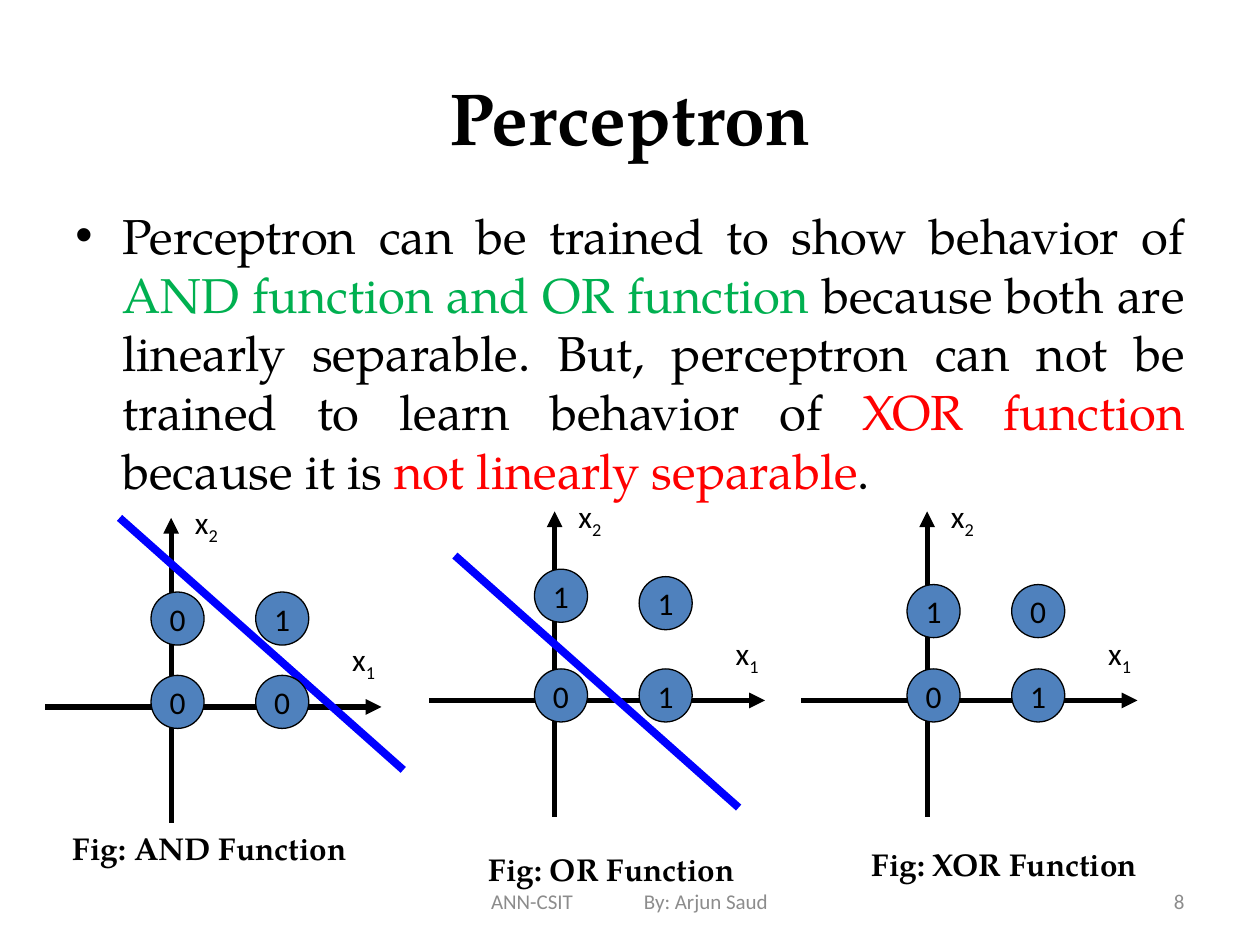
from dataclasses import dataclass
from typing import Optional

from pptx import Presentation
from pptx.dml.color import RGBColor
from pptx.enum.shapes import MSO_CONNECTOR, MSO_SHAPE
from pptx.enum.text import MSO_ANCHOR, MSO_AUTO_SIZE, PP_ALIGN
from pptx.oxml.xmlchemy import OxmlElement
from pptx.util import Cm, Pt

STRAIGHT = MSO_CONNECTOR.STRAIGHT
OVAL = MSO_SHAPE.OVAL
MIDDLE = MSO_ANCHOR.MIDDLE
GROW = MSO_AUTO_SIZE.SHAPE_TO_FIT_TEXT
LEFT, CENTER, RIGHT, JUSTIFY = PP_ALIGN.LEFT, PP_ALIGN.CENTER, PP_ALIGN.RIGHT, PP_ALIGN.JUSTIFY

SERIF = "TeX Gyre Pagella"
SANS = "Calibri"
COLORS = {
    "text": "000000",
    "good": "00B050",
    "bad": "FF0000",
    "node": "4F81BD",
    "separator": "0000FF",
    "footer": "8C8C8C",
}
NODE_SIZE = 1.07
NODE_COLUMNS = (0.13, 2.24)
BOTTOM_ROW = -0.1


@dataclass
class Plot:
    caption: str
    caption_at: tuple[float, float]
    origin: tuple[float, float]
    bottom: str
    top: str
    top_rows: tuple[float, float]
    separator: Optional[tuple[float, float]] = None


PLOTS = [
    Plot("Fig: AND Function", (1.22, 16.59), (3.45, 14.25), "00", "01",
         (-1.78, -1.78), (-1.04, -3.81)),
    Plot("Fig: OR Function", (9.6, 17.02), (11.18, 14.12), "01", "11",
         (-2.11, -1.96), (-2.01, -2.92)),
    Plot("Fig: XOR Function", (17.32, 16.92), (18.69, 14.12), "01", "10",
         (-1.8, -1.8)),
]
BODY_RUNS = [
    ("Perceptron can be trained to show behavior of ", "text"),
    ("AND function and OR function ", "good"),
    ("because both are linearly separable. But, perceptron can not be "
     "trained to learn behavior of ", "text"),
    ("XOR function ", "bad"),
    ("because it is ", "text"),
    ("not linearly separable", "bad"),
    (".", "text"),
]


def color(name: str) -> RGBColor:
    return RGBColor.from_string(COLORS[name])


def add_run(paragraph, text: str, size: float, font: str = SANS,
            color_name: str = "text", bold: bool = False):
    run = paragraph.add_run()
    run.text = text
    run.font.size = Pt(size)
    run.font.name = font
    run.font.bold = bold
    run.font.color.rgb = color(color_name)
    return run


def add_box(slide, left: float, top: float, width: float, height: float,
            wrap: bool = True, alignment=LEFT):
    box = slide.shapes.add_textbox(Cm(left), Cm(top), Cm(width), Cm(height))
    box.text_frame.word_wrap = wrap
    box.text_frame.paragraphs[0].alignment = alignment
    return box.text_frame


def add_line(slide, start: tuple[float, float], end: tuple[float, float],
             width: float, color_name: str, arrow: bool = False) -> None:
    line = slide.shapes.add_connector(STRAIGHT, Cm(start[0]), Cm(start[1]),
                                      Cm(end[0]), Cm(end[1]))
    line.line.width = Pt(width)
    line.line.color.rgb = color(color_name)
    if arrow:
        head = OxmlElement("a:headEnd")
        head.set("type", "triangle")
        line.line._get_or_add_ln().append(head)
    line._element.spPr.append(OxmlElement("a:effectLst"))


def add_axis_label(slide, left: float, top: float, index: str) -> None:
    frame = add_box(slide, left, top, 1.24, 1.27, wrap=False)
    frame.auto_size = GROW
    add_run(frame.paragraphs[0], "x", 18)
    subscript = add_run(frame.paragraphs[0], index, 18)
    subscript._r.get_or_add_rPr().set("baseline", "-25000")


def add_node(slide, center_x: float, center_y: float, value: str) -> None:
    node = slide.shapes.add_shape(OVAL, Cm(center_x - NODE_SIZE / 2),
                                  Cm(center_y - NODE_SIZE / 2),
                                  Cm(NODE_SIZE), Cm(NODE_SIZE))
    node.shadow.inherit = False
    node.fill.solid()
    node.fill.fore_color.rgb = color("node")
    node.line.color.rgb = color("text")
    node.line.width = Pt(0.75)
    frame = node.text_frame
    frame.word_wrap = False
    frame.vertical_anchor = MIDDLE
    frame.paragraphs[0].alignment = CENTER
    add_run(frame.paragraphs[0], value, 18)


def add_plot(slide, plot: Plot) -> None:
    x, y = plot.origin
    add_line(slide, (x, y - 3.81), (x, y + 2.34), 3, "text", arrow=True)
    add_line(slide, (x + 4.24, y), (x - 2.54, y), 3, "text", arrow=True)
    add_axis_label(slide, x + 3.4, y - 1.47, "1")
    add_axis_label(slide, x + 0.23, y - 4.23, "2")
    if plot.separator:
        start_x, start_y = x + plot.separator[0], y + plot.separator[1]
        add_line(slide, (start_x, start_y), (start_x + 5.72, start_y + 5.08),
                 4.5, "separator")
    for column, row, value in zip(NODE_COLUMNS, plot.top_rows, plot.top):
        add_node(slide, x + column, y + row, value)
    for column, value in zip(NODE_COLUMNS, plot.bottom):
        add_node(slide, x + column, y + BOTTOM_ROW, value)
    frame = add_box(slide, *plot.caption_at, 6.12, 1.02)
    frame.auto_size = GROW
    add_run(frame.paragraphs[0], plot.caption, 18, SERIF, bold=True)


def add_title(slide) -> None:
    title = slide.shapes.title
    title.left, title.top, title.width, title.height = Cm(1.27), Cm(0.76), Cm(22.86), Cm(3.18)
    title.text_frame.vertical_anchor = MIDDLE
    paragraph = title.text_frame.paragraphs[0]
    paragraph.alignment = CENTER
    add_run(paragraph, "Perceptron", 42, SERIF, bold=True)


def add_body(slide) -> None:
    frame = add_box(slide, 1.27, 3.81, 22.86, 13.97, alignment=JUSTIFY)
    frame.margin_top = Cm(0.33)
    paragraph = frame.paragraphs[0]
    properties = paragraph._p.get_or_add_pPr()
    properties.set("marL", str(Cm(0.95)))
    properties.set("indent", str(-Cm(0.95)))
    bullet_font = OxmlElement("a:buFont")
    bullet_font.set("typeface", "Arial")
    bullet = OxmlElement("a:buChar")
    bullet.set("char", "•")
    properties.extend([bullet_font, bullet])
    for text, color_name in BODY_RUNS:
        add_run(paragraph, text, 28, SERIF, color_name)


def add_footer(slide) -> None:
    number = add_box(slide, 18.2, 17.65, 5.93, 1.02, alignment=RIGHT)
    number.vertical_anchor = MIDDLE
    add_run(number.paragraphs[0], "8", 12, color_name="footer")

    footer = add_box(slide, 8.68, 17.65, 8.06, 1.02)
    footer.vertical_anchor = MIDDLE
    footer.margin_left = Cm(1.22)
    paragraph = footer.paragraphs[0]
    tabs = OxmlElement("a:tabLst")
    tab = OxmlElement("a:tab")
    tab.set("pos", str(Cm(3.08)))
    tab.set("algn", "l")
    tabs.append(tab)
    paragraph._p.get_or_add_pPr().append(tabs)
    add_run(paragraph, "ANN-CSIT\tBy: Arjun Saud", 12, color_name="footer")


def main() -> None:
    presentation = Presentation()
    presentation.slide_width = Cm(25.4)
    presentation.slide_height = Cm(19.05)
    slide = presentation.slides.add_slide(presentation.slide_layouts[5])
    add_title(slide)
    add_body(slide)
    for plot in PLOTS:
        add_plot(slide, plot)
    add_footer(slide)
    presentation.save("out.pptx")


if __name__ == "__main__":
    main()
